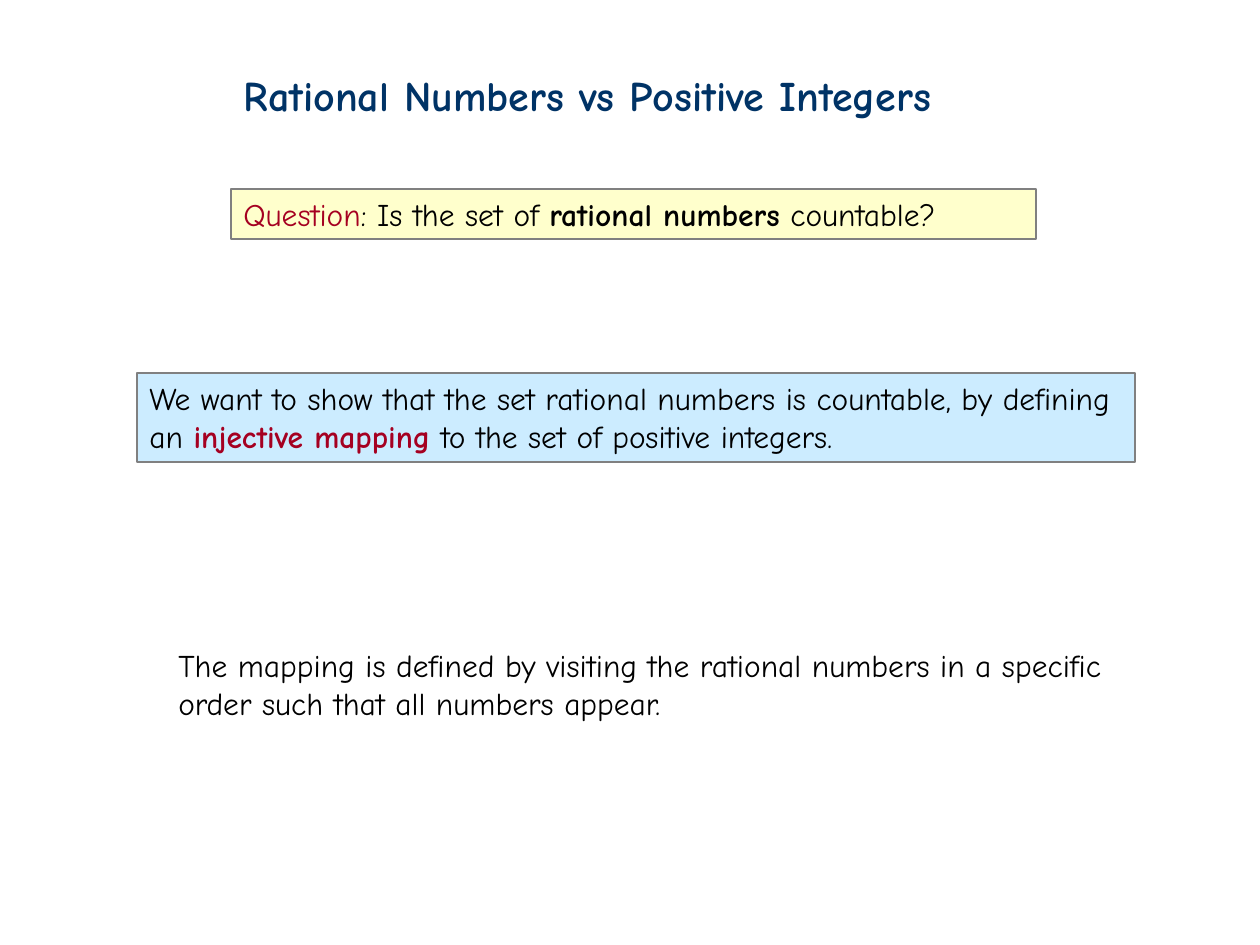
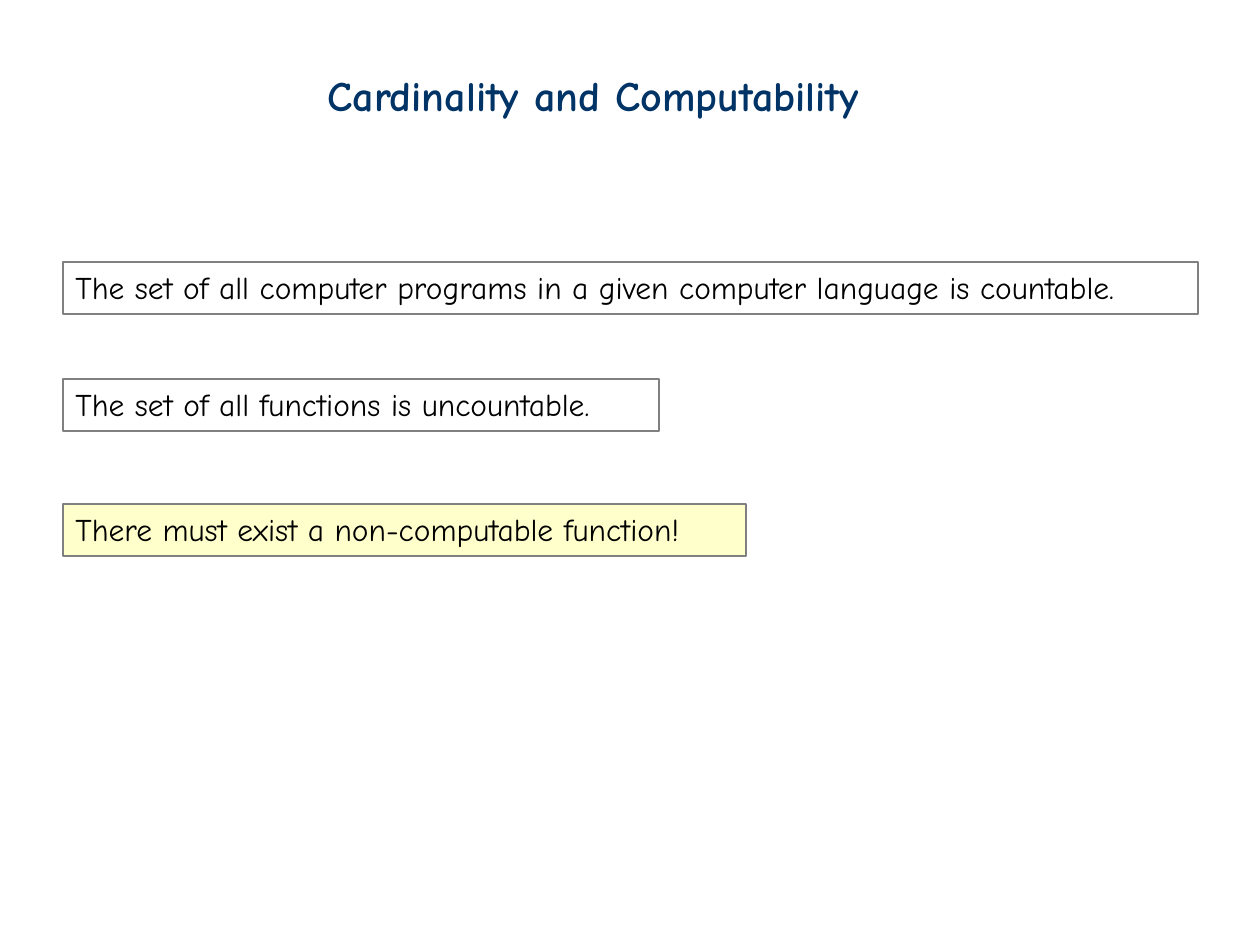
from pptx import Presentation
from pptx.dml.color import RGBColor
from pptx.enum.shapes import MSO_SHAPE
from pptx.enum.text import MSO_ANCHOR, MSO_AUTO_SIZE, PP_ALIGN
from pptx.util import Emu, Pt

# Shared scale, font and colours
PX_PER_INCH = 126
FONT = "Comic Neue"
NAVY, BLACK, RED, GRAY = "003366", "000000", "A50021", "808080"
YELLOW, BLUE = "FFFFCC", "CCECFF"
TITLE_ONLY = 5


def px(length):
    return Emu(round(length * 914400 / PX_PER_INCH))


def color(hex_code):
    return RGBColor.from_string(hex_code)


def write(shape, pieces, size=18, ink=BLACK, bold=False):
    """Fill a shape with text; a piece is a string or (string, ink, bold)."""
    frame = shape.text_frame
    frame.word_wrap = True
    frame.auto_size = MSO_AUTO_SIZE.NONE
    frame.vertical_anchor = MSO_ANCHOR.TOP
    paragraph = frame.paragraphs[0]
    paragraph.alignment = PP_ALIGN.LEFT
    for piece in pieces:
        words, piece_ink, piece_bold = (
            (piece, ink, bold) if isinstance(piece, str) else piece)
        run = paragraph.add_run()
        run.text = words
        run.font.name = FONT
        run.font.size = Pt(size)
        run.font.bold = piece_bold
        run.font.color.rgb = color(piece_ink)


def add_titled_slide(deck, title, left, width):
    slide = deck.slides.add_slide(deck.slide_layouts[TITLE_ONLY])
    heading = slide.shapes.title
    heading.left, heading.top = px(left), px(63)
    heading.width, heading.height = px(width), px(63)
    write(heading, [title], size=24, ink=NAVY, bold=True)
    return slide


def add_statement(slide, box, *pieces, fill=None):
    """Outlined box holding one statement."""
    statement = slide.shapes.add_shape(MSO_SHAPE.RECTANGLE, *map(px, box))
    statement.shadow.inherit = False
    if fill:
        statement.fill.solid()
        statement.fill.fore_color.rgb = color(fill)
    else:
        statement.fill.background()
    statement.line.color.rgb = color(GRAY)
    statement.line.width = Pt(0.75)
    write(statement, pieces)


def add_remark(slide, box, *pieces):
    write(slide.shapes.add_textbox(*map(px, box)), pieces)


def build_rationals(deck):
    slide = add_titled_slide(
        deck, "Rational Numbers vs Positive Integers", 231, 804)
    add_statement(
        slide, (231, 189, 805, 50),
        ("Question", RED, False), ": Is the set of ",
        ("rational numbers", BLACK, True), " countable?", fill=YELLOW)
    add_statement(
        slide, (137, 373, 998, 89),
        "We want to show that the set rational numbers is countable, "
        "by defining an ",
        ("injective mapping", RED, True),
        " to the set of positive integers.", fill=BLUE)
    add_remark(
        slide, (166, 640, 968, 89),
        "The mapping is defined by visiting the rational numbers in a "
        "specific order such that all numbers appear.")


def build_computability(deck):
    slide = add_titled_slide(deck, "Cardinality and Computability", 315, 621)
    statements = [
        (262, 1135, None, "The set of all computer programs in a given "
                          "computer language is countable."),
        (379, 596, None, "The set of all functions is uncountable."),
        (504, 683, YELLOW, "There must exist a non-computable function!"),
    ]
    for top, width, fill, words in statements:
        add_statement(slide, (63, top, width, 52), words, fill=fill)


def main():
    deck = Presentation()
    deck.slide_width, deck.slide_height = px(1260), px(945)
    build_rationals(deck)
    build_computability(deck)
    deck.save("out.pptx")


if __name__ == "__main__":
    main()
